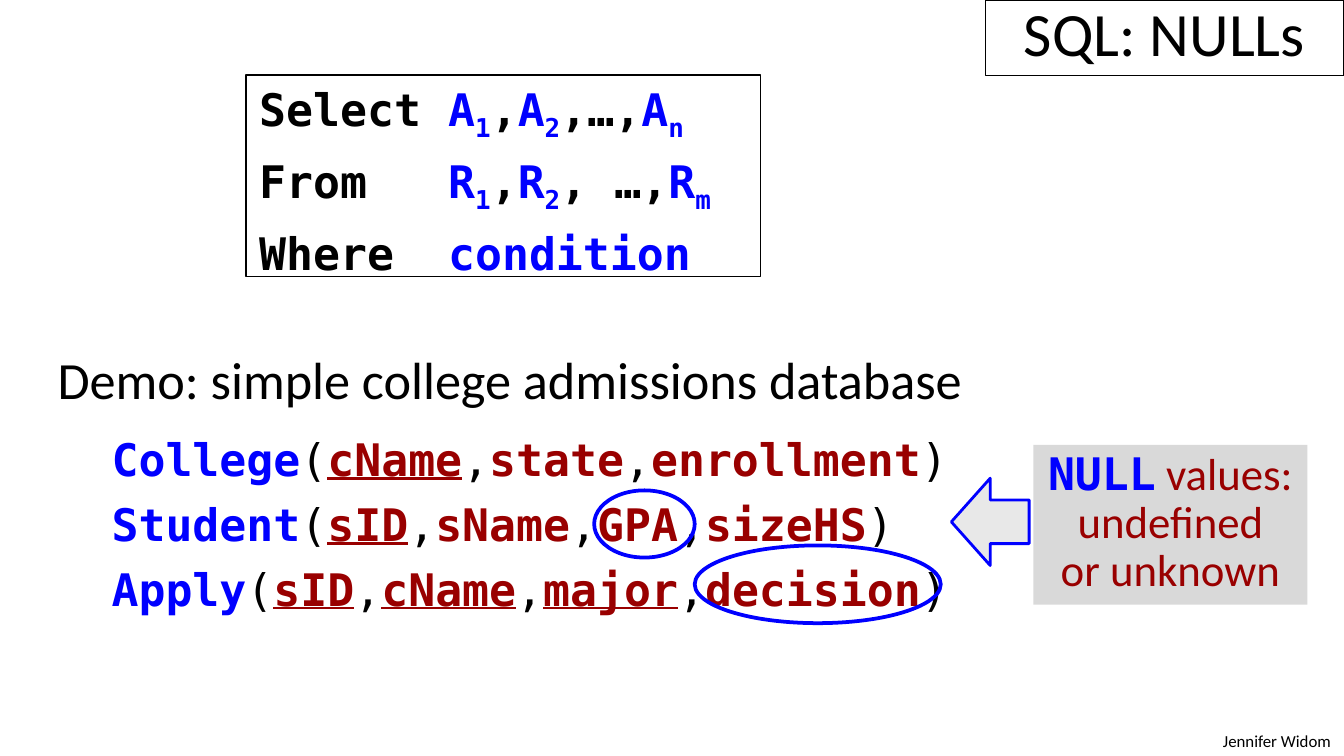
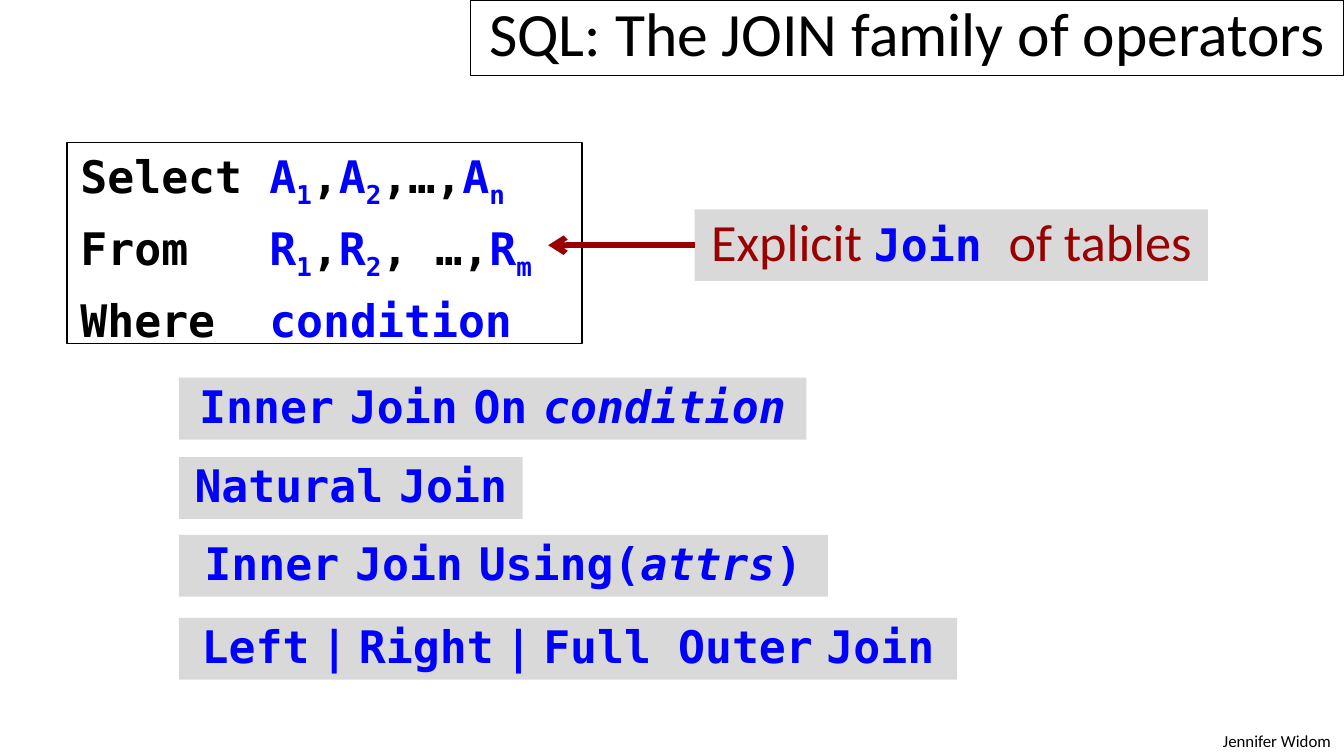
from itertools import zip_longest

from lxml.etree import SubElement
from pptx import Presentation
from pptx.dml.color import RGBColor
from pptx.enum.shapes import MSO_CONNECTOR as Connector, MSO_SHAPE as Shape
from pptx.enum.text import MSO_ANCHOR as Anchor, PP_ALIGN as Align
from pptx.oxml.ns import qn
from pptx.util import Cm, Pt

COLORS = {"black": "000000", "blue": "0000FF", "red": "990000", "gray": "D9D9D9"}
PAGE_WIDTH, PAGE_HEIGHT = 25.4, 14.29
SANS, MONO = "Calibri", "DejaVu Sans Mono"

# Text styles; those of a span hold only what differs from its paragraph
TITLE = {"name": SANS, "size": 33, "color": "black"}
FOOTER = {"name": SANS, "size": 9, "color": "black"}
HEADING = {"name": SANS, "size": 28, "color": "black"}
REMARK = {"name": SANS, "size": 24, "color": "red"}
BIG_REMARK = {**REMARK, "size": 28}
CODE = {"name": MONO, "size": 24, "color": "black", "bold": True}
KEYWORD = {**CODE, "color": "blue"}
BLUE = {"color": "blue"}
SUBSCRIPT = {"color": "blue", "sub": True}
COLUMN = {"color": "red"}
KEY = {"color": "red", "underline": True}
PLAIN = {"bold": False}
ITALIC = {"italic": True}

AUTHOR = "Jennifer Widom"
NULLS_TITLE = ("SQL: NULLs", 6.78)
JOIN_TITLE = ("SQL: The JOIN family of operators", 16.51)

QUERY = [
    [("Select\t", {}), ("A", BLUE), ("1", SUBSCRIPT), (",", {}), ("A", BLUE),
     ("2", SUBSCRIPT), (",…,", {}), ("A", BLUE), ("n", SUBSCRIPT)],
    [("From\t", {}), ("R", BLUE), ("1", SUBSCRIPT), (",", {}), ("R", BLUE),
     ("2", SUBSCRIPT), (", …,", {}), ("R", BLUE), ("m", SUBSCRIPT)],
    [("Where\t", {}), ("condition", BLUE)],
]

DEMO = "Demo: simple college admissions database"
# table name, key columns, other columns
TABLES = [
    ("College", ["cName"], ["state", "enrollment"]),
    ("Student", ["sID"], ["sName", "GPA", "sizeHS"]),
    ("Apply", ["sID", "cName", "major"], ["decision"]),
]
NULL_REMARK = [
    [("NULL", KEYWORD), (" values:", {})],
    [("undefined", {})],
    [("or unknown", {})],
]
NULLABLE_RINGS = [(11.23, 9.27, 1.9, 1.27), (13.13, 10.31, 4.65, 1.47)]

JOIN_REMARK = [("Explicit ", {}), ("Join ", KEYWORD), ("of tables", {})]
# top, width, words, size of the space after each word, closing spans
JOINS = [
    (7.14, 11.86, ["Inner", "Join", "On"], [14, 14, 14], [("condition", ITALIC)]),
    (8.64, 6.5, ["Natural", "Join"], [14], []),
    (10.11, 12.27, ["Inner", "Join", "Using("], [14, 14],
     [("attrs", ITALIC), (")", {})]),
    (11.68, 14.71, ["Left", "|", "Right", "|", "Full Outer", "Join"],
     [10, 10, 10, 10, 12], []),
]


def rgb(color):
    return RGBColor.from_string(COLORS[color])


def style_font(font, style):
    for key in ("name", "bold", "italic", "underline"):
        if key in style:
            setattr(font, key, style[key])
    if "size" in style:
        font.size = Pt(style["size"])
    if "color" in style:
        font.color.rgb = rgb(style["color"])


def write(para, spans, style):
    """Fill a paragraph with (text, differing style) spans."""
    style_font(para.font, style)
    for text, change in spans:
        span = para.add_run()
        span.text = text
        style_font(span.font, change)
        if change.get("sub"):
            span.font._element.set("baseline", "-25000")


def add_box(page, place, lines, style, align=Align.LEFT, fill=None, border=False):
    box = page.shapes.add_textbox(*map(Cm, place))
    frame = box.text_frame
    frame.word_wrap = True
    if fill:
        box.fill.solid()
        box.fill.fore_color.rgb = rgb(fill)
    if border:
        box.line.color.rgb = rgb("black")
        box.line.width = Pt(0.75)
    for number, spans in enumerate(lines):
        para = frame.add_paragraph() if number else frame.paragraphs[0]
        para.alignment = align
        write(para, spans, style)
    return box


def add_remark(page, place, lines, style):
    box = add_box(page, place, lines, style, Align.CENTER, fill="gray")
    box.text_frame.word_wrap = False
    for para in box.text_frame.paragraphs:
        para.line_spacing = 0.9
    return box


def add_page(deck, title, title_width):
    page = deck.slides.add_slide(deck.slide_layouts[6])
    add_box(page, (22.66, 13.69, 2.74, 0.64), [[(AUTHOR, {})]], FOOTER, Align.RIGHT)
    box = add_box(page, (PAGE_WIDTH - title_width, 0, title_width, 1.43),
                  [[(title, {})]], TITLE, Align.CENTER, border=True)
    box.text_frame.vertical_anchor = Anchor.BOTTOM
    return page


def add_query(page, left, top):
    box = add_box(page, (left, top, 9.73, 3.81), QUERY, CODE, border=True)
    for number, para in enumerate(box.text_frame.paragraphs):
        if number:
            para.space_before = Pt(5.8)
        properties = para._p.get_or_add_pPr()
        tabs = properties.makeelement(qn("a:tabLst"))
        SubElement(tabs, qn("a:tab"), pos=str(Cm(3.57)), algn="l")
        properties.find(qn("a:defRPr")).addprevious(tabs)


def add_outline(page, kind, place, width):
    shape = page.shapes.add_shape(kind, *map(Cm, place))
    shape.shadow.inherit = False
    shape.fill.background()
    shape.line.color.rgb = rgb("blue")
    shape.line.width = Pt(width)
    return shape


def schema_spans(table, keys, others):
    columns = [(name, KEY) for name in keys] + [(name, COLUMN) for name in others]
    spans = [(table, BLUE)]
    for number, column in enumerate(columns):
        spans += [("," if number else "(", PLAIN), column]
    return spans + [(")", PLAIN)]


def add_demo(page):
    box = add_box(page, (0.84, 6.43, 17.78, 5.38), [[(DEMO, {})]], HEADING)
    box.text_frame.paragraphs[0].space_after = Pt(12)
    for table in TABLES:
        para = box.text_frame.add_paragraph()
        para.space_after = Pt(6)
        para._p.get_or_add_pPr().set("marL", str(Cm(1.02)))
        write(para, schema_spans(*table), CODE)


def build_nulls(deck):
    page = add_page(deck, *NULLS_TITLE)
    add_query(page, 4.65, 1.42)
    add_demo(page)
    add_remark(page, (19.53, 8.41, 5.18, 3.02), NULL_REMARK, REMARK)
    arrow = add_outline(page, Shape.LEFT_ARROW, (17.98, 9.04, 1.47, 1.65), 1.5)
    arrow.fill.solid()
    arrow.fill.fore_color.rgb = rgb("gray")
    fill_color = arrow._element.spPr.find(qn("a:solidFill")).find(qn("a:srgbClr"))
    SubElement(fill_color, qn("a:alpha"), val="60000")
    for place in NULLABLE_RINGS:
        add_outline(page, Shape.OVAL, place, 2)


def build_joins(deck):
    page = add_page(deck, *JOIN_TITLE)
    add_query(page, 1.27, 2.69)
    remark = add_remark(page, (13.13, 3.96, 9.7, 1.35), [JOIN_REMARK], BIG_REMARK)
    middle = remark.top + remark.height // 2
    pointer = page.shapes.add_connector(
        Connector.STRAIGHT, Cm(10.36), middle, remark.left, middle)
    pointer.end_connect(remark, 1)
    pointer.line.color.rgb = rgb("red")
    pointer.line.width = Pt(3)
    properties = pointer._element.spPr
    SubElement(properties.find(qn("a:ln")), qn("a:headEnd"), type="arrow")
    SubElement(properties, qn("a:effectLst"))

    for top, width, words, gaps, closing in JOINS:
        spans = []
        for word, gap in zip_longest(words, gaps):
            spans.append((word, {}))
            if gap:
                spans.append((" ", {"size": gap}))
        add_remark(page, (3.38, top, width, 1.17), [spans + closing], KEYWORD)


def main():
    deck = Presentation()
    deck.slide_width, deck.slide_height = Cm(PAGE_WIDTH), Cm(PAGE_HEIGHT)
    build_nulls(deck)
    build_joins(deck)
    deck.save("out.pptx")


if __name__ == "__main__":
    main()
